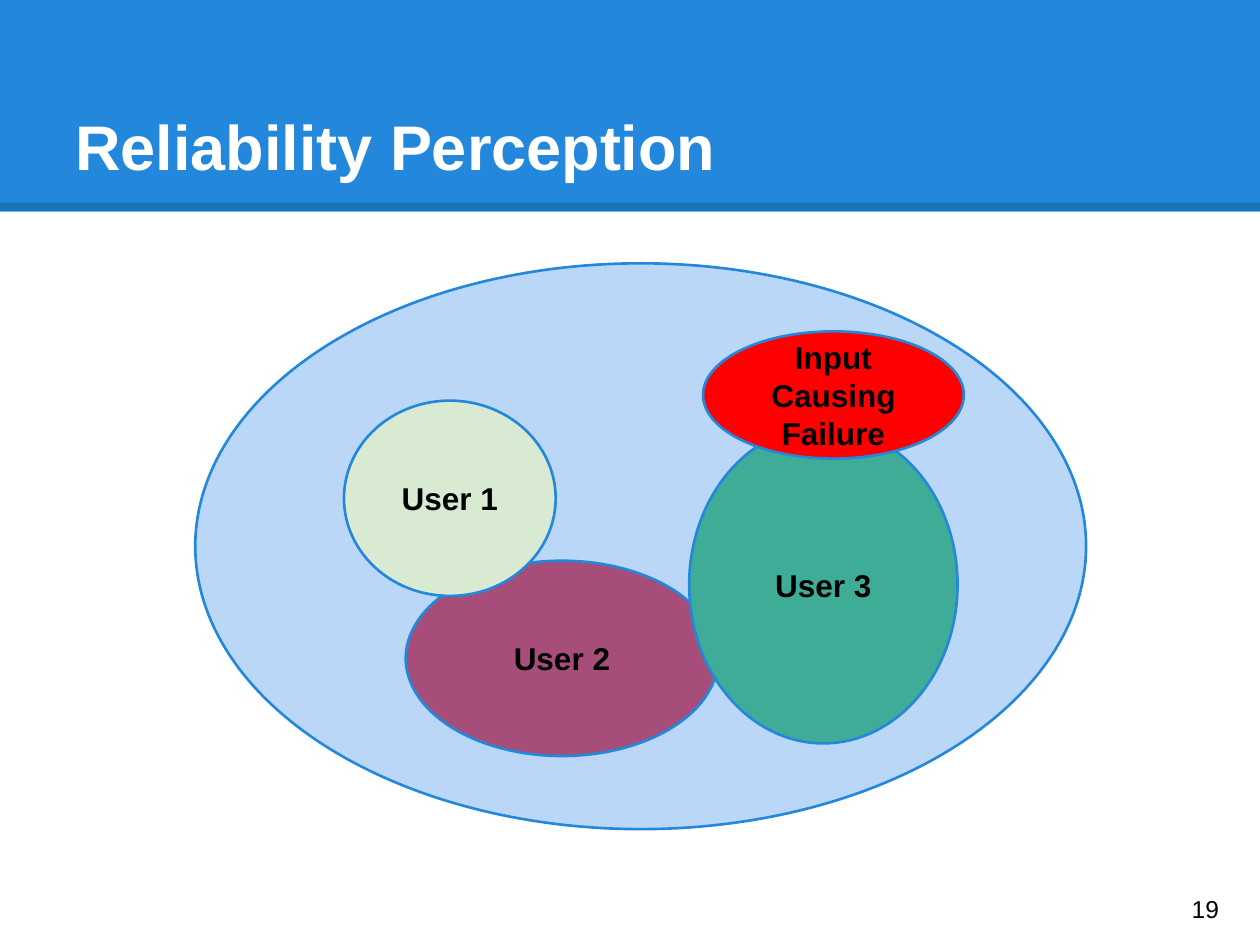
"""Build the Reliability Perception slide."""
from lxml import etree
from pptx import Presentation
from pptx import util as u
from pptx.dml.color import RGBColor
from pptx.enum import shapes, text
from pptx.oxml.ns import qn

HUES = {
    "blue": "2388DB", "sky": "BBD7F8", "plum": "A64D79", "mint": "D9EAD3",
    "teal": "3FAC98", "red": "FF0000", "white": "FFFFFF", "black": "000000",
}
OVALS = [
    ("", "sky", (1.55, 2.09, 7.07, 4.49)),
    ("User 2", "plum", (3.22, 4.45, 2.48, 1.55)),
    ("User 1", "mint", (2.73, 3.18, 1.68, 1.55)),
    ("User 3", "teal", (5.47, 3.38, 2.13, 2.52)),
    ("Input Causing Failure", "red", (5.58, 2.63, 2.07, 1.01)),
]


def hue(name):
    return RGBColor.from_string(HUES[name])


def write(shape, words, size, ink="black", bold=True, align="LEFT", anchor="MIDDLE"):
    frame = shape.text_frame
    frame.word_wrap = True
    frame.vertical_anchor = getattr(text.MSO_ANCHOR, anchor)
    frame.margin_left = frame.margin_right = u.Inches(0.1)
    frame.margin_top = frame.margin_bottom = u.Inches(0.1)
    para = frame.paragraphs[0]
    para.text = words
    para.alignment = getattr(text.PP_ALIGN, align)
    font = para.font
    font.name, font.size, font.bold = "Arial", u.Pt(size), bold
    font.color.rgb = hue(ink)


def label(slide, words, box, size, **style):
    write(slide.shapes.add_textbox(*map(u.Inches, box)), words, size, **style)


def solid(slide, kind, box, fill):
    shape = slide.shapes.add_shape(kind, *map(u.Inches, box))
    shape.shadow.inherit = False
    shape.fill.solid()
    shape.fill.fore_color.rgb = hue(fill)
    return shape


def band(slide):
    shape = solid(slide, shapes.MSO_SHAPE.RECTANGLE, (0, 0, 10, 1.68), "blue")
    shape.line.fill.background()
    ends = map(u.Inches, (0, 1.64, 10, 1.64))
    rule = slide.shapes.add_connector(shapes.MSO_CONNECTOR.STRAIGHT, *ends)
    rule.line.width = u.Pt(4.5)
    rule.line.color.rgb = hue("black")
    props = rule.element.spPr
    tint = props.find(".//" + qn("a:srgbClr"))
    etree.SubElement(tint, qn("a:alpha"), val="15000")
    etree.SubElement(props, qn("a:effectLst"))


def oval(slide, words, fill, box):
    shape = solid(slide, shapes.MSO_SHAPE.OVAL, box, fill)
    shape.line.color.rgb = hue("blue")
    shape.line.width = u.Pt(1.5)
    if words:
        write(shape, words, 18, align="CENTER")


def main():
    deck = Presentation()
    deck.slide_width, deck.slide_height = u.Inches(10), u.Inches(7.5)
    slide = deck.slides.add_slide(deck.slide_layouts[6])
    band(slide)
    label(slide, "Reliability Perception", (0.5, 0.3, 9, 1.25), 36,
          ink="white", anchor="BOTTOM")
    for item in OVALS:
        oval(slide, *item)
    label(slide, "19", (9.36, 6.93, 0.6, 0.57), 14, bold=False)
    deck.save("out.pptx")


if __name__ == "__main__":
    main()
